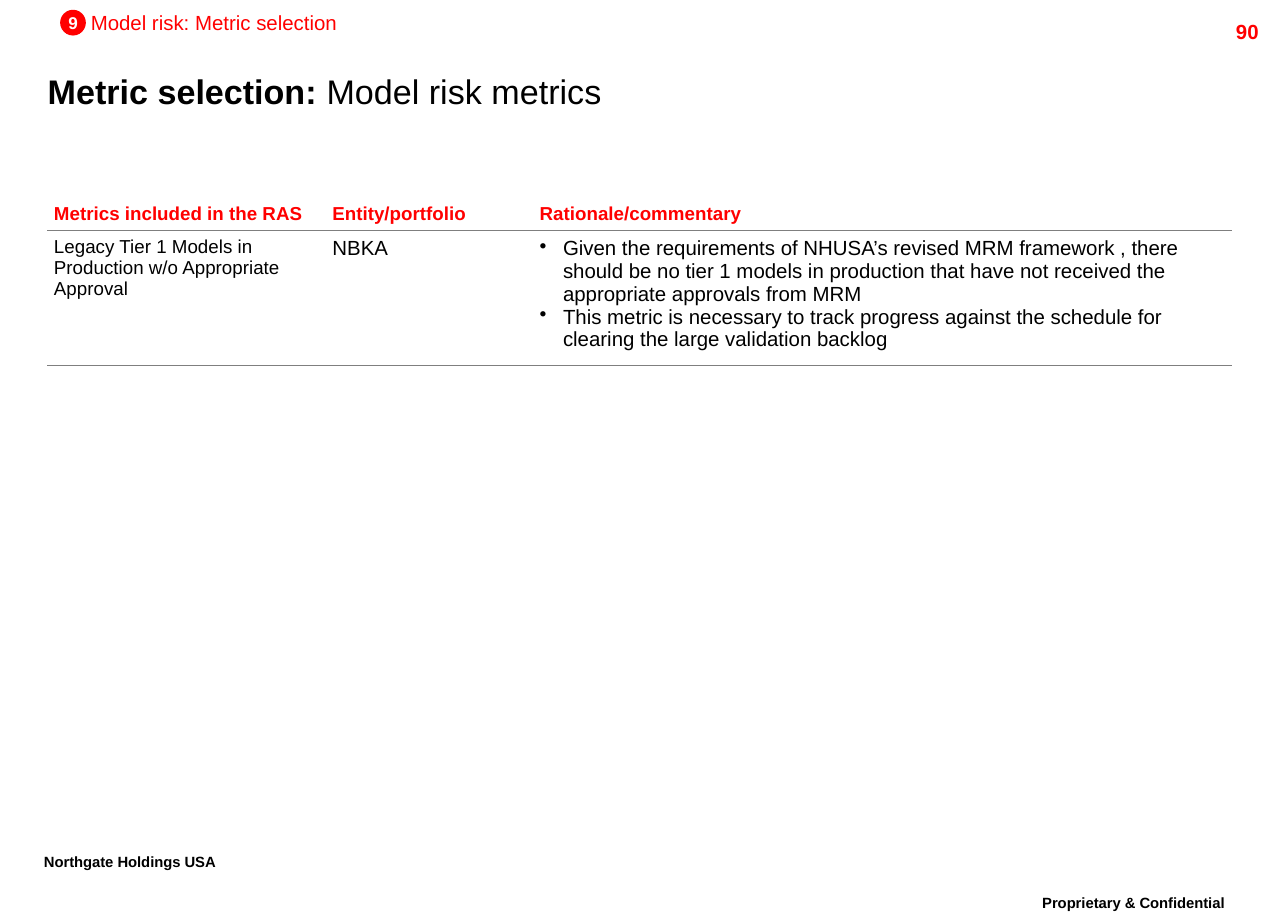
import pptx
import pptx.util
import pptx.dml.color
import pptx.enum.shapes
import pptx.enum.text
import pptx.oxml
import pptx.oxml.ns
from pptx.util import Inches

COLORS = {"red": "FF0000", "black": "000000", "white": "FFFFFF", "rule": "7F7F7F"}
ALIGN = pptx.enum.text.PP_ALIGN
ANCHOR = pptx.enum.text.MSO_ANCHOR

FOOTER = dict(size=15, bold=True, spacing=0.86, baseline=30)
TEXTS = [
    ((8.15, 7.25, 2.18, 0.35), ["Proprietary & Confidential"], dict(FOOTER, align=ALIGN.CENTER)),
    ((0.26, 6.91, 1.91, 0.35), ["Northgate Holdings USA"], dict(FOOTER, wrap=False)),
    ((9.36, 0.11, 1, 0.24), ["90"], dict(size=12, bold=True, color="red", align=ALIGN.RIGHT)),
    ((0.29, 0.57, 10.21, 0.39), [[("Metric selection: ", True), ("Model risk metrics", False)]],
     dict(size=20, spacing=0.86)),
    ((0.74, 0.08, 2.81, 0.2), ["Model risk: Metric selection"],
     dict(size=12, color="red", inset=0, wrap=False)),
]
BADGE = ((0.49, 0.08, 0.21, 0.21), "9")

TABLE_AT = (0.39, 1.6)
COL_WIDTHS = [2.27, 1.69, 5.69]
ROW_HEIGHTS = [0.28, 1.1]
HEADERS = ["Metrics included in the RAS", "Entity/portfolio", "Rationale/commentary"]
BODY = [
    (["Legacy Tier 1 Models in Production w/o Appropriate Approval"], dict(size=11)),
    (["NBKA"], dict(size=12)),
    (["Given the requirements of NHUSA’s revised MRM framework , there should be no tier 1 models "
      "in production that have not received the appropriate approvals from MRM",
      "This metric is necessary to track progress against the schedule for clearing the large "
      "validation backlog"], dict(size=12, bullet=True)),
]


def rgb(name):
    return pptx.dml.color.RGBColor.from_string(COLORS[name])


def xml(tag, attrs, inner=""):
    ns = pptx.oxml.ns.nsdecls("a")
    return pptx.oxml.parse_xml(f"<a:{tag} {ns} {attrs}>{inner}</a:{tag}>")


def write(tf, paragraphs, size=12, bold=False, color="black", align=ALIGN.LEFT,
          spacing=None, baseline=0, bullet=False, inset=None, wrap=True):
    tf.word_wrap = wrap
    if inset is not None:
        tf.margin_left = tf.margin_right = tf.margin_top = tf.margin_bottom = Inches(inset)
    for i, runs in enumerate(paragraphs):
        p = tf.add_paragraph() if i else tf.paragraphs[0]
        if bullet:
            pPr = p._p.get_or_add_pPr()
            pPr.set("marL", str(Inches(0.19)))
            pPr.set("indent", str(-Inches(0.19)))
            pPr.append(xml("buChar", 'char="•"'))
        p.alignment = align
        if spacing:
            p.line_spacing = spacing
        for text, heavy in [(runs, bold)] if isinstance(runs, str) else runs:
            r = p.add_run()
            r.text = text
            r.font.name = "Arial"
            r.font.size = pptx.util.Pt(size)
            r.font.bold = heavy
            r.font.color.rgb = rgb(color)
            if baseline:
                r._r.get_or_add_rPr().set("baseline", str(baseline * 1000))


def format_cell(cell, sides, anchor):
    cell.fill.background()
    cell.vertical_anchor = anchor
    cell.margin_left = cell.margin_right = cell.margin_top = cell.margin_bottom = Inches(0.05)
    fill = f'<a:solidFill><a:srgbClr val="{COLORS["rule"]}"/></a:solidFill>'
    for i, side in enumerate(sides):
        line = xml(f"ln{side}", f'w="{pptx.util.Pt(0.75)}"', fill)
        cell._tc.get_or_add_tcPr().insert(i, line)


def add_metrics_table(s):
    table = s.shapes.add_table(
        len(ROW_HEIGHTS), len(COL_WIDTHS), *map(Inches, TABLE_AT),
        Inches(sum(COL_WIDTHS)), Inches(sum(ROW_HEIGHTS))).table
    table.first_row = table.horz_banding = False
    for row, height in zip(table.rows, ROW_HEIGHTS):
        row.height = Inches(height)
    for c, (width, header, (body, style)) in enumerate(zip(COL_WIDTHS, HEADERS, BODY)):
        table.columns[c].width = Inches(width)
        top, bottom = table.cell(0, c), table.cell(1, c)
        format_cell(top, "B", ANCHOR.BOTTOM)
        format_cell(bottom, "TB", ANCHOR.TOP)
        write(top.text_frame, [header], size=11, bold=True, color="red", spacing=0.86)
        write(bottom.text_frame, body, **style)


def main():
    """Build the model risk metric selection slide."""
    prs = pptx.Presentation()
    prs.slide_width, prs.slide_height = Inches(10.5), Inches(7.5)
    s = prs.slides.add_slide(prs.slide_layouts[6])
    for box, paragraphs, style in TEXTS:
        sp = s.shapes.add_textbox(*map(Inches, box))
        write(sp.text_frame, paragraphs, **style)
    add_metrics_table(s)
    box, number = BADGE
    sp = s.shapes.add_shape(pptx.enum.shapes.MSO_SHAPE.OVAL, *map(Inches, box))
    sp.shadow.inherit = False
    sp.fill.solid()
    sp.fill.fore_color.rgb = rgb("red")
    sp.line.fill.background()
    sp.text_frame.vertical_anchor = ANCHOR.MIDDLE
    write(sp.text_frame, [number], size=10, bold=True, color="white",
          align=ALIGN.CENTER, inset=0, wrap=False)
    prs.save("out.pptx")


if __name__ == "__main__":
    main()
